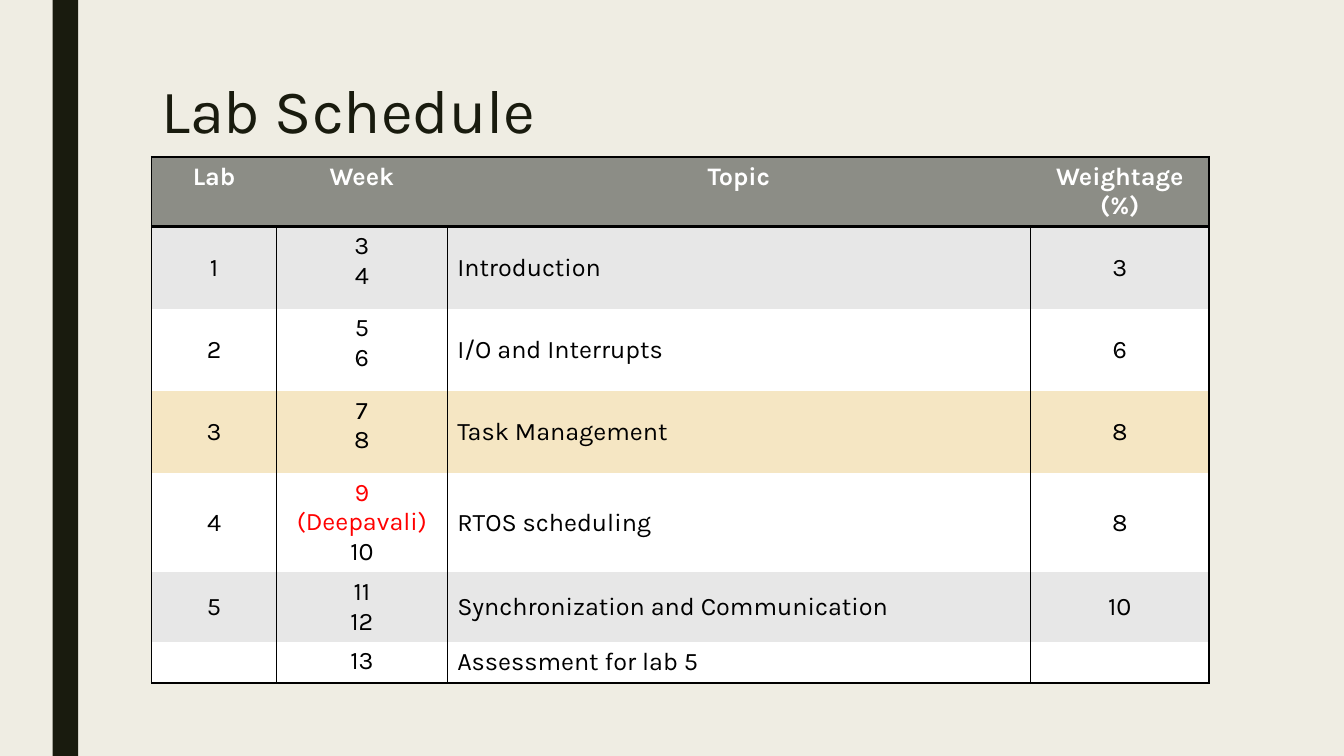
from dataclasses import dataclass

from lxml import etree
from pptx import Presentation
from pptx.dml.color import RGBColor
from pptx.enum.shapes import MSO_SHAPE
from pptx.enum.text import MSO_ANCHOR, PP_ALIGN
from pptx.oxml.ns import qn
from pptx.slide import Slide
from pptx.table import Table, _Cell
from pptx.util import Cm, Pt

RECT = MSO_SHAPE.RECTANGLE
TOP, MIDDLE = MSO_ANCHOR.TOP, MSO_ANCHOR.MIDDLE
LEFT, CENTER = PP_ALIGN.LEFT, PP_ALIGN.CENTER

FONT = "Karla"
CREAM = RGBColor(0xEF, 0xED, 0xE3)
DARK = RGBColor(0x19, 0x1B, 0x0E)
GRAY = RGBColor(0x8C, 0x8D, 0x86)
PALE = RGBColor(0xE7, 0xE7, 0xE7)
SAND = RGBColor(0xF5, 0xE6, 0xC3)
WHITE = RGBColor(0xFF, 0xFF, 0xFF)
BLACK = RGBColor(0x00, 0x00, 0x00)
RED = RGBColor(0xFF, 0x00, 0x00)

HOLIDAY = "9 (Deepavali)"
WIDTHS = (3.15, 4.3, 14.7, 4.5)
TOPIC, WEEK = 2, 1
THIN, THICK = 1, 2


@dataclass
class Row:
    texts: tuple[str, str, str, str]
    height: float
    fill: RGBColor


ROWS = (
    Row(("Lab", "Week", "Topic", "Weightage (%)"), 1.75, GRAY),
    Row(("1", "3\n4", "Introduction", "3"), 2.07, PALE),
    Row(("2", "5\n6", "I/O and Interrupts", "6"), 2.07, WHITE),
    Row(("3", "7\n8", "Task Management", "8"), 2.07, SAND),
    Row(("4", HOLIDAY + "\n10", "RTOS scheduling", "8"), 2.5, WHITE),
    Row(("5", "11\n12", "Synchronization and Communication", "10"), 1.74, PALE),
    Row(("", "13", "Assessment for lab 5", ""), 1.04, WHITE),
)


def add_edge(cell: _Cell, side: str, width: int) -> None:
    """Append one cell border; a width of 0 hides it."""
    props = cell._tc.get_or_add_tcPr()
    line = etree.SubElement(props, qn(f"a:ln{side}"), w=str(Pt(width)))
    if width:
        fill = etree.SubElement(line, qn("a:solidFill"))
        etree.SubElement(fill, qn("a:srgbClr"), val=str(BLACK))
    else:
        etree.SubElement(line, qn("a:noFill"))


def fill_cell(cell: _Cell, text: str, row: int, col: int) -> None:
    head = row == 0
    cell.text_frame.text = text
    cell.vertical_anchor = TOP if head or col == WEEK else MIDDLE
    for para in cell.text_frame.paragraphs:
        para.alignment = LEFT if col == TOPIC and not head else CENTER
        para.font.size = Pt(18)
        for run in para.runs:
            font = run.font
            font.name, font.size, font.bold = FONT, Pt(18), head
            ink = RED if run.text == HOLIDAY else BLACK
            font.color.rgb = WHITE if head else ink

    # Borders come before the fill in the cell properties
    last = len(WIDTHS) - 1
    add_edge(cell, "L", THIN if not head or col == 0 else 0)
    add_edge(cell, "R", THIN if not head or col == last else 0)
    add_edge(cell, "T", THICK if row <= 1 else 0)
    add_edge(cell, "B", THICK if row in (0, len(ROWS) - 1) else 0)
    cell.fill.solid()
    cell.fill.fore_color.rgb = ROWS[row].fill


def add_plan(slide: Slide) -> Table:
    height = sum(row.height for row in ROWS)
    frame = slide.shapes.add_table(len(ROWS), len(WIDTHS), Cm(3.82), Cm(3.96),
                                   Cm(sum(WIDTHS)), Cm(height))
    table = frame.table
    for col, width in enumerate(WIDTHS):
        table.columns[col].width = Cm(width)
    for num, row in enumerate(ROWS):
        table.rows[num].height = Cm(row.height)
        for col, text in enumerate(row.texts):
            fill_cell(table.cell(num, col), text, num, col)
    return table


def add_bar(slide: Slide) -> None:
    bar = slide.shapes.add_shape(RECT, Cm(1.33), 0, Cm(0.64), Cm(19.05))
    bar.shadow.inherit = False
    bar.fill.solid()
    bar.fill.fore_color.rgb = DARK
    bar.line.fill.background()


def set_title(slide: Slide) -> None:
    title = slide.shapes.title
    title.left, title.top = Cm(3.81), Cm(1.9)
    title.width, title.height = Cm(26.67), Cm(4.11)
    frame = title.text_frame
    frame.text = "Lab Schedule"
    frame.vertical_anchor = TOP
    para = frame.paragraphs[0]
    para.alignment, para.line_spacing = LEFT, 0.89
    font = para.runs[0].font
    font.name, font.size = FONT, Pt(44)
    font.color.rgb = DARK


def main() -> None:
    deck = Presentation()
    deck.slide_width, deck.slide_height = Cm(33.87), Cm(19.05)
    slide = deck.slides.add_slide(deck.slide_layouts[5])
    slide.background.fill.solid()
    slide.background.fill.fore_color.rgb = CREAM

    # Side bar, title and schedule
    add_bar(slide)
    set_title(slide)
    add_plan(slide)
    deck.save("out.pptx")


if __name__ == "__main__":
    main()
